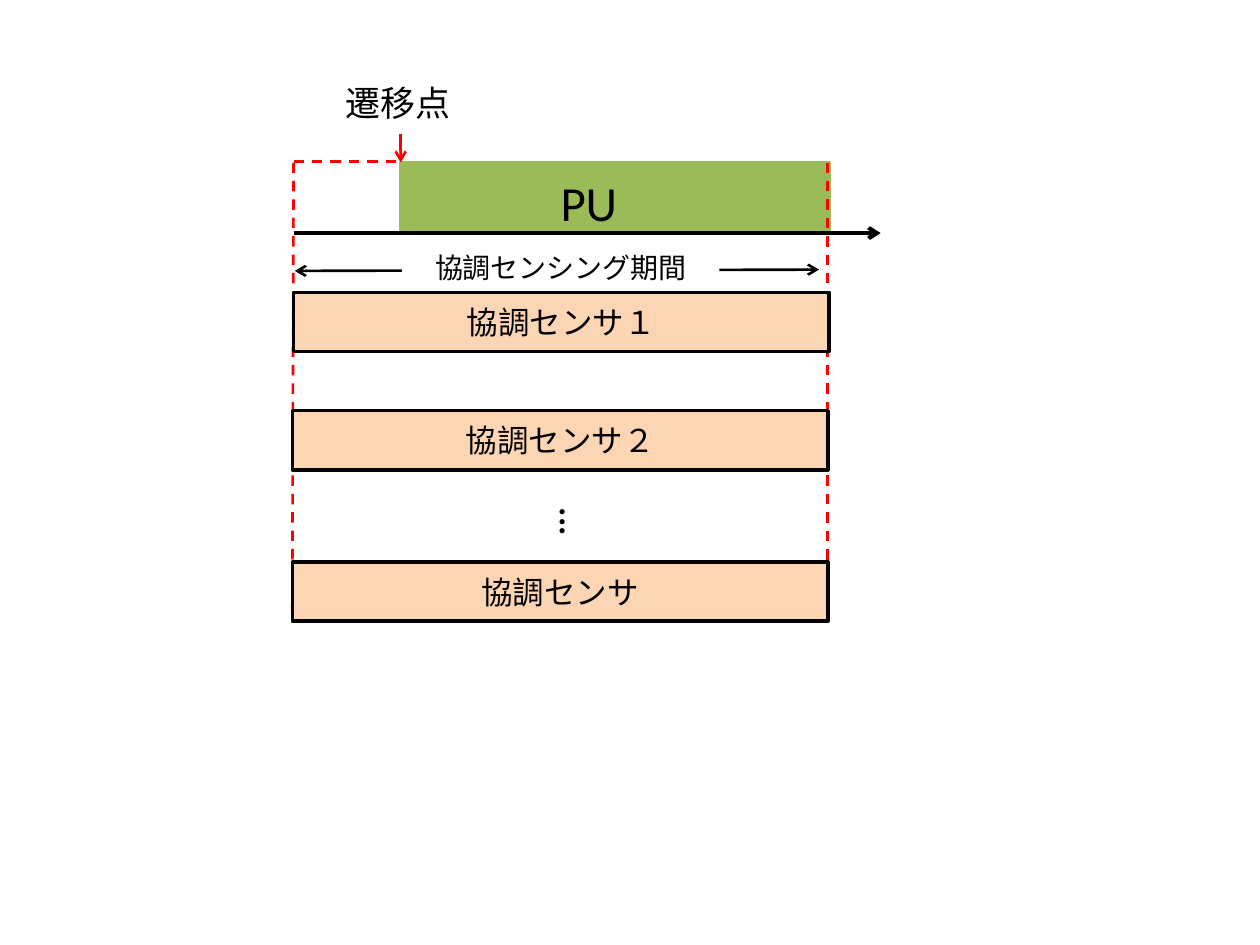
"""Draw the timing chart of cooperative sensing around a PU transition."""
from lxml import etree
from pptx import Presentation
from pptx.dml.color import RGBColor
from pptx.enum.dml import MSO_LINE
from pptx.enum.shapes import MSO_CONNECTOR, MSO_SHAPE
from pptx.enum.text import MSO_ANCHOR, MSO_AUTO_SIZE, PP_ALIGN
from pptx.oxml.ns import qn
from pptx.util import Inches, Pt

RECT = MSO_SHAPE.RECTANGLE
STRAIGHT = MSO_CONNECTOR.STRAIGHT
DASH = MSO_LINE.DASH
LEFT, CENTER = PP_ALIGN.LEFT, PP_ALIGN.CENTER
TOP, MIDDLE = MSO_ANCHOR.TOP, MSO_ANCHOR.MIDDLE
GROW = MSO_AUTO_SIZE.SHAPE_TO_FIT_TEXT
FONT = "Calibri"
COLORS = {
    "black": "000000",
    "white": "FFFFFF",
    "red": "FF0000",
    "green": "9BBB59",
    "peach": "FCD5B5",
}
START, END, SWITCH = 2.33, 6.57, 3.18
BAR = 4.25, 0.47


def color(name):
    return RGBColor.from_string(COLORS[name])


def write(shape, text, size, align=LEFT, anchor=TOP, bold=False, wrap=True, grow=False):
    frame = shape.text_frame
    frame.word_wrap = wrap
    frame.vertical_anchor = anchor
    if grow:
        frame.auto_size = GROW
    para = frame.paragraphs[0]
    para.alignment = align
    run = para.add_run()
    run.text = text
    run.font.name = FONT
    run.font.size = Pt(size)
    run.font.bold = bold
    run.font.color.rgb = color("black")


def add_box(slide, left, top, width, height, fill, edge=None):
    box = slide.shapes.add_shape(RECT, *map(Inches, (left, top, width, height)))
    box.shadow.inherit = False
    box.fill.solid()
    box.fill.fore_color.rgb = color(fill)
    if edge:
        box.line.color.rgb = color(edge)
        box.line.width = Pt(2)
    else:
        box.line.fill.background()
    return box


def add_label(slide, left, top, width, height, text, size, bold=False, turn=0):
    label = slide.shapes.add_textbox(*map(Inches, (left, top, width, height)))
    label.rotation = turn
    write(label, text, size, bold=bold, wrap=False, grow=True)


def add_line(slide, start, end, ink, width=1.5, dash=None, tips=()):
    line = slide.shapes.add_connector(STRAIGHT, *map(Inches, (*start, *end)))
    line.line.color.rgb = color(ink)
    line.line.width = Pt(width)
    if dash:
        line.line.dash_style = dash
    props = line.line._get_or_add_ln()
    for tip in tips:
        etree.SubElement(props, qn(f"a:{tip}"), type="arrow")
    etree.SubElement(line._element.spPr, qn("a:effectLst"))


def add_period(slide):
    add_line(slide, (2.34, 2.15), (6.5, 2.14), "black", tips=("headEnd", "tailEnd"))
    box = add_box(slide, 3.19, 1.94, 2.52, 0.37, "white")
    write(box, "協調センシング期間", 16, align=CENTER, grow=True)


def add_signal(slide):
    add_box(slide, SWITCH, 1.29, 3.4, 0.54, "green", "green")
    add_line(slide, (START, 1.85), (6.99, 1.85), "black", 2.25, tips=("tailEnd",))
    add_label(slide, 4.21, 3.9, 0.59, 0.53, " ...", 20, bold=True, turn=90)
    add_label(slide, 4.35, 1.32, 0.68, 0.57, "PU", 28)


def add_bounds(slide):
    add_line(slide, (START, 1.29), (2.32, 4.85), "red", dash=DASH)
    add_line(slide, (END, 1.29), (END, 4.93), "red", dash=DASH)
    add_line(slide, (SWITCH, 1.06), (SWITCH, 1.29), "red", tips=("tailEnd",))


def add_bars(slide):
    bars = (
        (2.32, 3.26, "協調センサ２"),
        (2.33, 2.32, "協調センサ１"),
        (2.32, 4.46, "協調センサ"),
    )
    for left, top, text in bars:
        bar = add_box(slide, left, top, *BAR, "peach", "black")
        write(bar, text, 18, align=CENTER, anchor=MIDDLE)


def main():
    deck = Presentation()
    deck.slide_width, deck.slide_height = Inches(10), Inches(7.5)
    slide = deck.slides.add_slide(deck.slide_layouts.get_by_name("Blank"))
    add_period(slide)
    add_signal(slide)
    add_bounds(slide)
    add_bars(slide)
    add_line(slide, (START, 1.28), (SWITCH, 1.28), "red", dash=DASH)
    add_label(slide, 2.64, 0.6, 1.04, 0.44, "遷移点", 20)
    deck.save("out.pptx")


if __name__ == "__main__":
    main()
